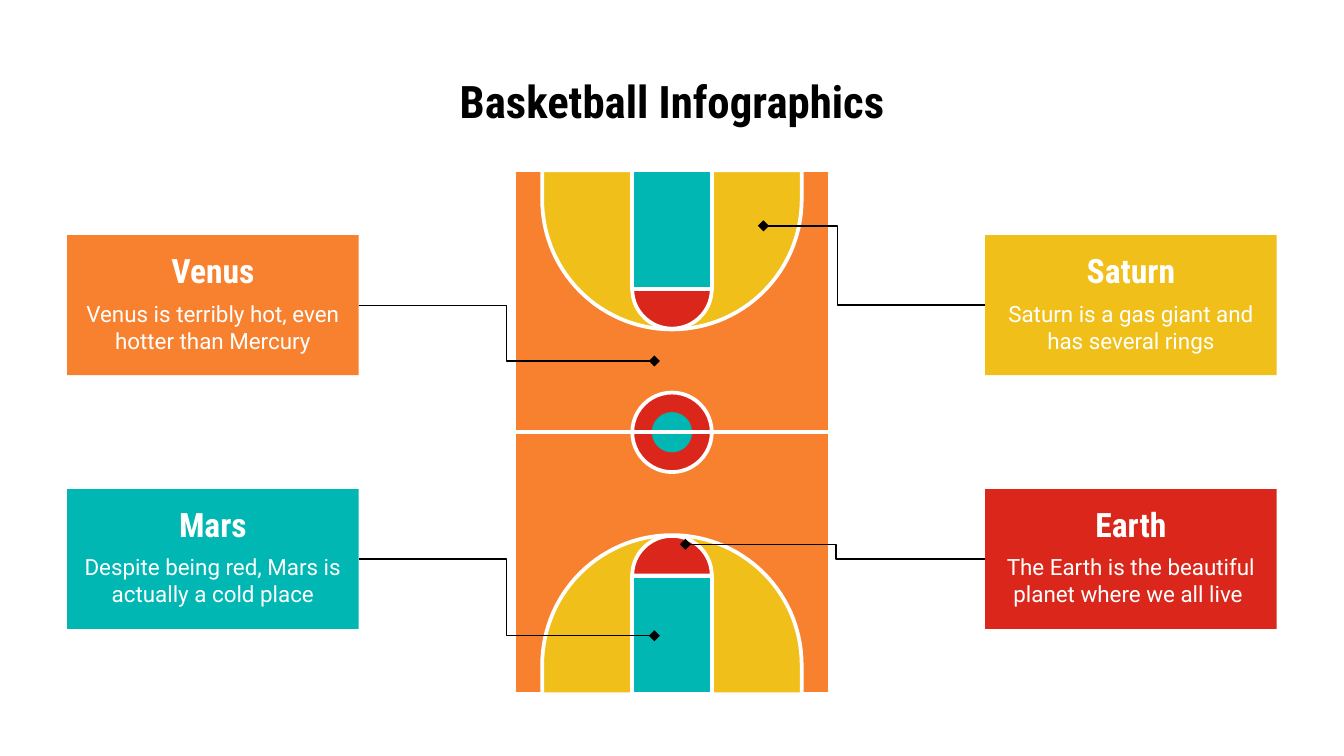
"""Build a slide with a basketball court and four labelled callout cards."""
from dataclasses import dataclass
from math import cos, pi, sin

from lxml import etree
from pptx import Presentation
from pptx.dml.color import RGBColor
from pptx.enum.shapes import MSO_CONNECTOR, MSO_SHAPE
from pptx.enum.text import MSO_ANCHOR, PP_ALIGN
from pptx.oxml.ns import qn
from pptx.util import Pt

RECTANGLE = MSO_SHAPE.RECTANGLE
OVAL = MSO_SHAPE.OVAL
ELBOW = MSO_CONNECTOR.ELBOW
STRAIGHT = MSO_CONNECTOR.STRAIGHT
TOP, MIDDLE = MSO_ANCHOR.TOP, MSO_ANCHOR.MIDDLE
CENTER = PP_ALIGN.CENTER


@dataclass(frozen=True)
class Theme:
    orange: str = "F8812F"
    yellow: str = "F0BF1A"
    teal: str = "00B7B3"
    red: str = "DB271B"
    white: str = "FFFFFF"
    black: str = "000000"
    heading_font: str = "Roboto Condensed"
    body_font: str = "Roboto"
    title_size: float = 24
    heading_size: float = 18
    body_size: float = 12
    court_line: float = 2
    callout_line: float = 0.75


theme = Theme()


def paint(shape, fill, outlined=True):
    shape.shadow.inherit = False
    shape.fill.solid()
    shape.fill.fore_color.rgb = RGBColor.from_string(fill)
    if outlined:
        shape.line.color.rgb = RGBColor.from_string(theme.white)
        shape.line.width = Pt(theme.court_line)
    else:
        shape.line.fill.background()


def add_text(box, text, font, size, color, bold, anchor):
    text_box = slide.shapes.add_textbox(*map(Pt, box))
    frame = text_box.text_frame
    frame.word_wrap = True
    frame.vertical_anchor = anchor
    frame.margin_left = frame.margin_right = Pt(7.2)
    frame.margin_top = frame.margin_bottom = Pt(7.2)
    paragraph = frame.paragraphs[0]
    paragraph.alignment = CENTER
    run = paragraph.add_run()
    run.text = text
    run.font.name = font
    run.font.size = Pt(size)
    run.font.bold = bold
    run.font.color.rgb = RGBColor.from_string(color)


presentation = Presentation()
presentation.slide_width = Pt(720)
presentation.slide_height = Pt(405)
slide = presentation.slides.add_slide(presentation.slide_layouts[6])

add_text((36, 32.4, 648, 45.4), "Basketball Infographics", theme.heading_font,
         theme.title_size, theme.black, True, TOP)

center_x, center_y = 360, 231.6
half_width, half_length = 84.6, 140.4
key_radius, key_spring = 21.3, 76.8
arc_radius, arc_spring = 69.5, 124.6
spot_radius = 10.8
arc_steps = 60

court = slide.shapes.add_shape(
    RECTANGLE, Pt(center_x - half_width), Pt(center_y - half_length),
    Pt(2 * half_width), Pt(2 * half_length))
paint(court, theme.orange)

for side in (-1, 1):
    for radius, base, spring, fill in (
        (arc_radius, half_length, arc_spring, theme.yellow),
        (key_radius, key_spring, key_spring, theme.red),
    ):
        points = [(center_x + radius, center_y + side * base)]
        for step in range(arc_steps + 1):
            angle = pi * step / arc_steps
            points.append((center_x + radius * cos(angle),
                           center_y + side * (spring - radius * sin(angle))))
        points.append((center_x - radius, center_y + side * base))
        corners = [(Pt(x), Pt(y)) for x, y in points]
        builder = slide.shapes.build_freeform(*corners[0])
        builder.add_line_segments(corners[1:], close=True)
        paint(builder.convert_to_shape(), fill)

    key_top = center_y + min(side * key_spring, side * half_length)
    key = slide.shapes.add_shape(
        RECTANGLE, Pt(center_x - key_radius), Pt(key_top),
        Pt(2 * key_radius), Pt(half_length - key_spring))
    paint(key, theme.teal)

for radius, fill, outlined in ((key_radius, theme.red, True),
                               (spot_radius, theme.teal, False)):
    circle = slide.shapes.add_shape(
        OVAL, Pt(center_x - radius), Pt(center_y - radius),
        Pt(2 * radius), Pt(2 * radius))
    paint(circle, fill, outlined)

halfway_line = slide.shapes.add_connector(
    STRAIGHT, Pt(center_x - half_width), Pt(center_y),
    Pt(center_x + half_width), Pt(center_y))
halfway_line.begin_connect(court, 1)
halfway_line.end_connect(court, 3)
halfway_line.line.color.rgb = RGBColor.from_string(theme.white)
halfway_line.line.width = Pt(theme.court_line)
etree.SubElement(halfway_line._element.spPr, qn("a:effectLst"))

card_width, card_height = 156.2, 75
left_column, right_column = 36, 684 - card_width
upper_row, lower_row = 126, 262
cards = (
    ("Venus", "Venus is terribly hot, even hotter than Mercury",
     theme.orange, left_column, upper_row, (350.6, 193.4), 50000),
    ("Mars", "Despite being red, Mars is actually a cold place",
     theme.teal, left_column, lower_row, (350.6, 340.6), 50000),
    ("Earth", "The Earth is the beautiful planet where we all live ",
     theme.red, right_column, lower_row, (367.2, 291.6), 49700),
    ("Saturn", "Saturn is a gas giant and has several rings",
     theme.yellow, right_column, upper_row, (409, 121), 66700),
)
for heading, description, fill, left, top, target, bend in cards:
    card = slide.shapes.add_shape(
        RECTANGLE, Pt(left), Pt(top), Pt(card_width), Pt(card_height))
    paint(card, fill, False)
    add_text((left, top + 5, card_width, 27), heading, theme.heading_font,
             theme.heading_size, theme.white, True, MIDDLE)
    add_text((left, top + 27.4, card_width, 43), description, theme.body_font,
             theme.body_size, theme.white, False, TOP)

    on_left = left == left_column
    start_x = left + card_width if on_left else left
    callout = slide.shapes.add_connector(
        ELBOW, Pt(start_x), Pt(top + card_height / 2), *map(Pt, target))
    callout.begin_connect(card, 3 if on_left else 1)
    callout.line.color.rgb = RGBColor.from_string(theme.black)
    callout.line.width = Pt(theme.callout_line)
    properties = callout._element.spPr
    etree.SubElement(properties.find(qn("a:ln")), qn("a:tailEnd"), type="diamond")
    etree.SubElement(properties, qn("a:effectLst"))
    adjustments = properties.find(qn("a:prstGeom")).find(qn("a:avLst"))
    etree.SubElement(adjustments, qn("a:gd"), name="adj1", fmla=f"val {bend}")

presentation.save("out.pptx")
